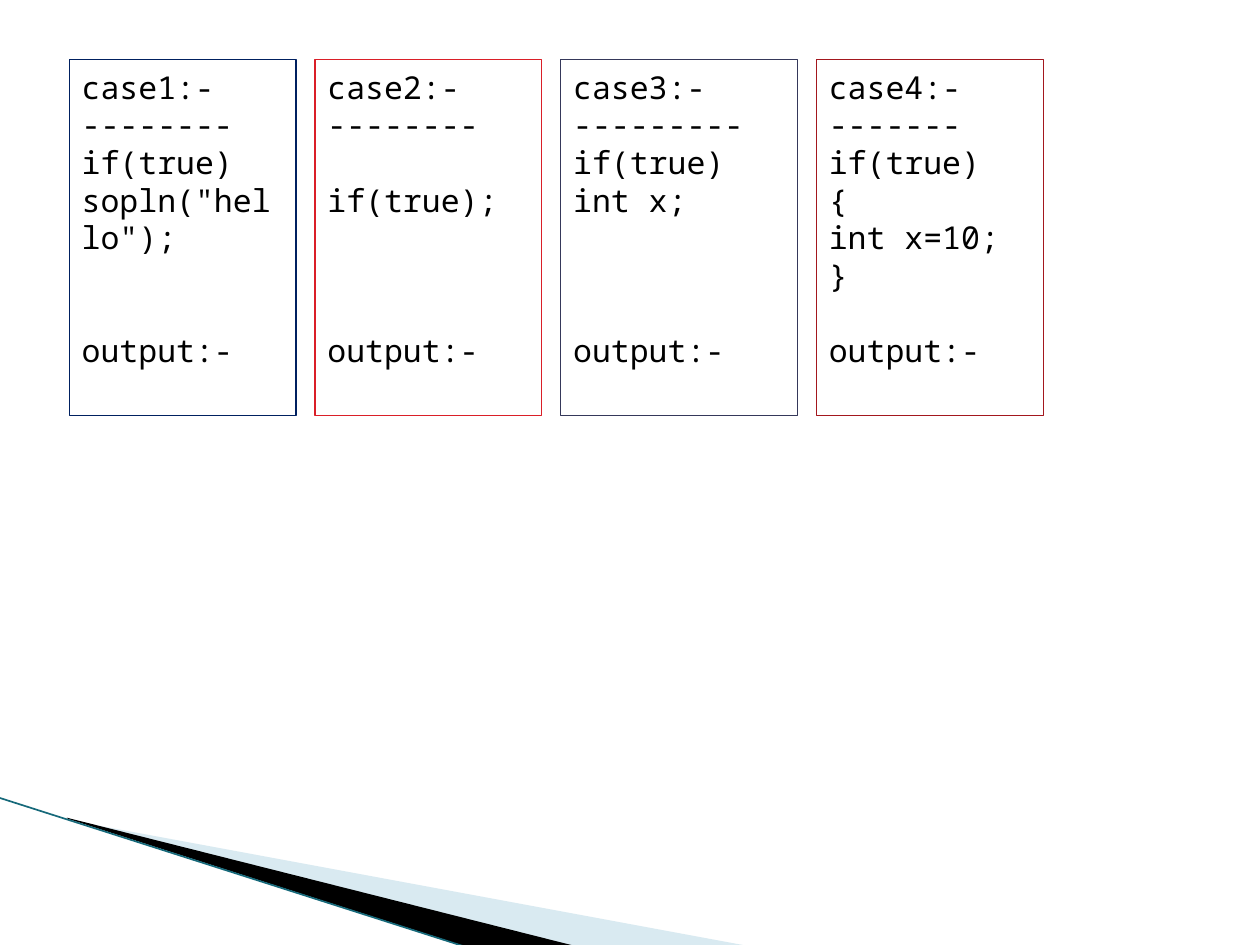
from dataclasses import dataclass

import lxml.etree
import pptx
import pptx.dml.color
import pptx.enum.shapes
import pptx.enum.text
import pptx.oxml.ns
import pptx.util

Pt = pptx.util.Pt
RGBColor = pptx.dml.color.RGBColor

BLACK = RGBColor(0x00, 0x00, 0x00)
NAVY = RGBColor(0x00, 0x20, 0x60)
RED = RGBColor(0xDA, 0x1F, 0x28)
SLATE = RGBColor(0x35, 0x38, 0x5A)
DARK_RED = RGBColor(0xA3, 0x17, 0x1E)
PALE_BLUE = RGBColor(0xA0, 0xCB, 0xDC)
TEAL = RGBColor(0x16, 0x69, 0x7A)

CODE_FONT = "Noto Sans Mono"
LINE_PITCH = 21.5
BOX_TOP, BOX_HEIGHT = 33.84, 203.76
FIRST_LEFT, BOX_GAP = 39.6, 10.8


@dataclass
class Case:
    lines: list[str]
    border: RGBColor
    gaps: dict[int, int]  # line index -> empty lines above it
    width: float = 129.6


@dataclass
class Wedge:
    points: list[tuple[float, float]]
    color: RGBColor
    opacity: int = 100


CASES = [
    Case(["case1:-", "--------", "if(true)", 'sopln("hello");', "output:-"],
         NAVY, {4: 2}),
    Case(["case2:-", "--------", "if(true);", "output:-"], RED, {2: 1, 3: 3}),
    Case(["case3:-", "---------", "if(true)", "int x;", "output:-"],
         SLATE, {4: 3}, width=135.36),
    Case(["case4:-", "-------", "if(true)", "{", "int x=10;", "}", "output:-"],
         DARK_RED, {6: 1}),
]

WEDGES = [
    Wedge([(39.6, 468.7), (428.4, 540.7), (328.3, 540.7), (39.6, 468)],
          PALE_BLUE, opacity=40),
    Wedge([(38.2, 467.3), (329, 540.7), (267.8, 541.4), (38.9, 468)], BLACK),
]


def draw_wedge(slide, wedge: Wedge) -> None:
    corners = [(Pt(x), Pt(y)) for x, y in wedge.points]
    builder = slide.shapes.build_freeform(*corners[0], scale=1.0)
    builder.add_line_segments(corners[1:], close=True)
    band = builder.convert_to_shape()
    band.shadow.inherit = False
    band.line.fill.background()
    band.fill.solid()
    band.fill.fore_color.rgb = wedge.color
    if wedge.opacity < 100:
        color = band.fill._xPr.find(".//" + pptx.oxml.ns.qn("a:srgbClr"))
        alpha = lxml.etree.SubElement(color, pptx.oxml.ns.qn("a:alpha"))
        alpha.set("val", str(wedge.opacity * 1000))


def draw_edge(slide) -> None:
    edge = slide.shapes.add_connector(
        pptx.enum.shapes.MSO_CONNECTOR.STRAIGHT,
        Pt(-0.7), Pt(455.8), Pt(267.1), Pt(541.4))
    edge.line.color.rgb = TEAL
    edge.line.width = Pt(0.95)
    lxml.etree.SubElement(edge._element.spPr, pptx.oxml.ns.qn("a:effectLst"))


def draw_case(slide, case: Case, left: float) -> None:
    box = slide.shapes.add_shape(
        pptx.enum.shapes.MSO_SHAPE.RECTANGLE,
        Pt(left), Pt(BOX_TOP), Pt(case.width), Pt(BOX_HEIGHT))
    box.shadow.inherit = False
    box.fill.background()
    box.line.color.rgb = case.border
    box.line.width = Pt(0.75)

    code = box.text_frame
    code.word_wrap = True
    code.vertical_anchor = pptx.enum.text.MSO_ANCHOR.TOP
    code.margin_top = Pt(5)
    code.text = "\n".join(case.lines)
    for index, paragraph in enumerate(code.paragraphs):
        paragraph.alignment = pptx.enum.text.PP_ALIGN.LEFT
        paragraph.line_spacing = Pt(LINE_PITCH)
        paragraph.space_before = Pt(LINE_PITCH * case.gaps.get(index, 0))
        for run in paragraph.runs:
            run.font.name = CODE_FONT
            run.font.size = Pt(18)
            run.font.color.rgb = BLACK


def main() -> None:
    deck = pptx.Presentation()
    deck.slide_width, deck.slide_height = Pt(720), Pt(540)
    slide = deck.slides.add_slide(deck.slide_layouts[6])

    # Corner decoration
    for wedge in WEDGES:
        draw_wedge(slide, wedge)
    draw_edge(slide)

    # Row of code cases
    left = FIRST_LEFT
    for case in CASES:
        draw_case(slide, case, left)
        left += case.width + BOX_GAP

    deck.save("out.pptx")


if __name__ == "__main__":
    main()
